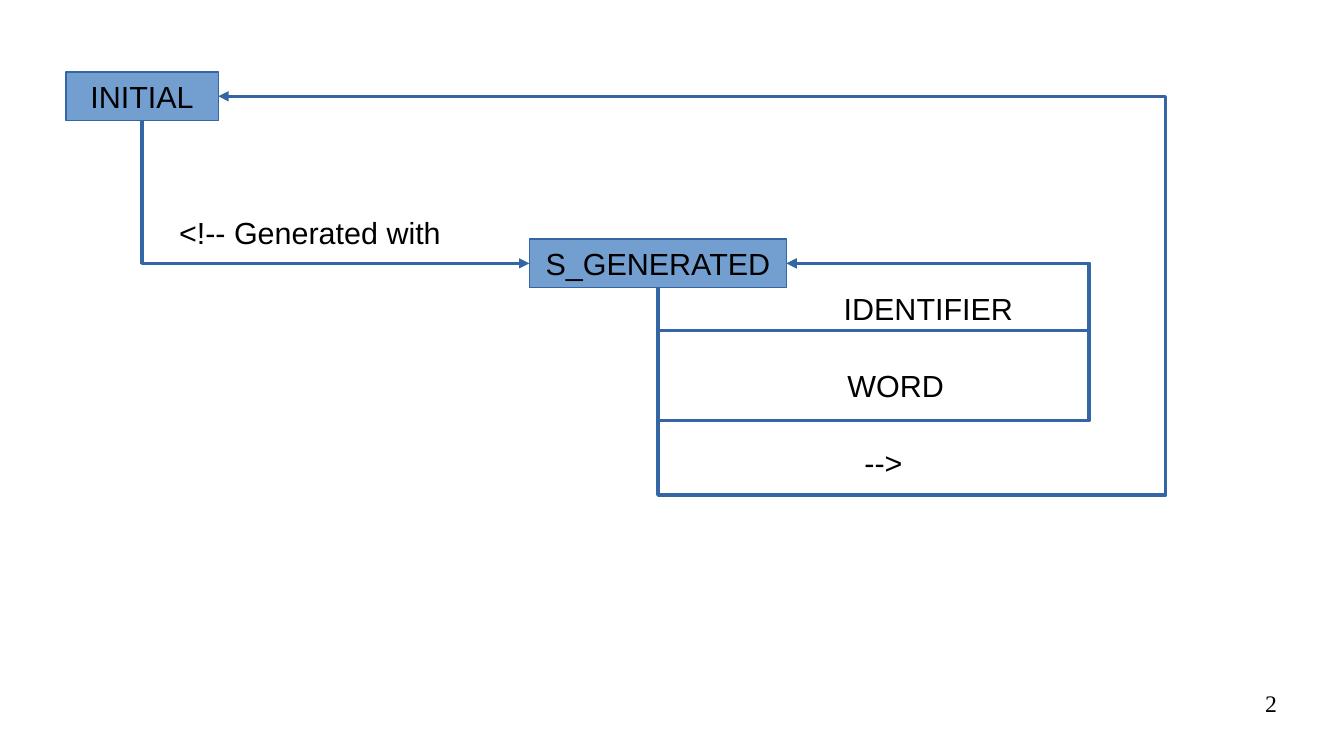
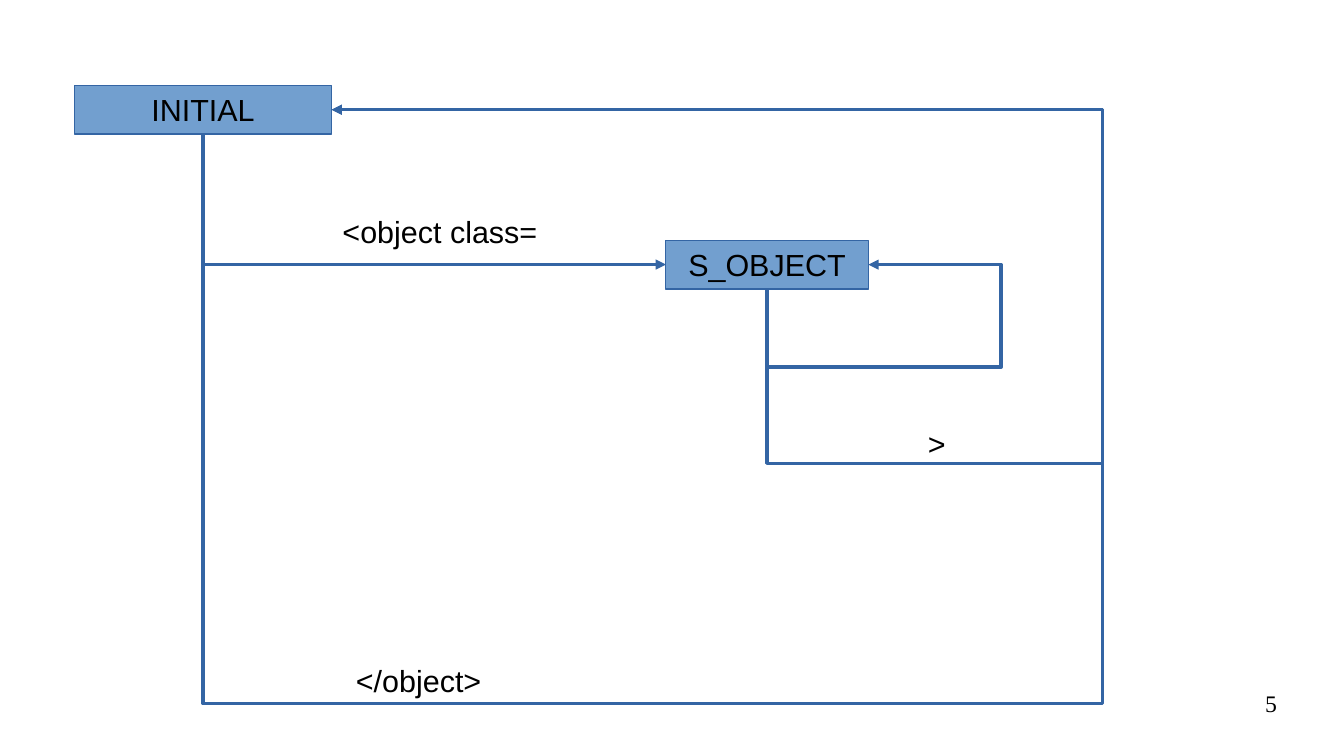
import pptx
import pptx.util
import pptx.dml.color
import pptx.enum.shapes
import pptx.enum.text
import pptx.oxml
import pptx.oxml.ns

Inches, Pt = pptx.util.Inches, pptx.util.Pt
ALIGN = pptx.enum.text.PP_ALIGN
COLORS = {"state": "729FCF", "line": "3465A4", "text": "000000"}
STATE_HEIGHT = 0.4
BOTTOM, LEFT, RIGHT = 2, 1, 3

# Each transition leaves the bottom of a state. Its detour gives the lowest y
# and the farthest x of the route; without one it makes a single bend.
DIAGRAMS = [
    {
        "number": "2",
        "states": {"INITIAL": (0.54, 0.59, 1.25), "S_GENERATED": (4.34, 1.96, 2.11)},
        "transitions": [
            ("INITIAL", "S_GENERATED", None),
            ("S_GENERATED", "INITIAL", (4.06, 9.56)),
            ("S_GENERATED", "S_GENERATED", (2.71, 8.93)),
            ("S_GENERATED", "S_GENERATED", (3.45, 8.93)),
        ],
        "labels": [
            ("<!-- Generated with", 1.37, 1.71, 2.5),
            ("IDENTIFIER", 6.82, 2.33, 1.66),
            ("WORD", 6.85, 2.96, 1.14),
            ("-->", 6.99, 3.59, 0.7),
        ],
    },
    {
        "number": "5",
        "states": {"INITIAL": (0.61, 0.7, 2.11), "S_OBJECT": (5.46, 1.97, 1.66)},
        "transitions": [
            ("INITIAL", "S_OBJECT", None),
            ("S_OBJECT", "S_OBJECT", (3.01, 8.21)),
            ("S_OBJECT", "INITIAL", (3.8, 9.04)),
            ("INITIAL", "INITIAL", (5.77, 9.04)),
        ],
        "labels": [
            ("<object class=", 2.71, 1.7, 1.88),
            (">", 7.51, 3.44, 0.51),
            ("</object>", 2.82, 5.38, 1.36),
        ],
    },
]


def rgb(name):
    return pptx.dml.color.RGBColor.from_string(COLORS[name])


def write(shape, text, align=ALIGN.LEFT, size=18, font="Arial"):
    frame = shape.text_frame
    frame.text = text
    frame.word_wrap = True
    frame.paragraphs[0].alignment = align
    run_font = frame.paragraphs[0].runs[0].font
    run_font.name, run_font.size = font, Pt(size)
    run_font.color.rgb = rgb("text")
    return frame


prs = pptx.Presentation()
prs.slide_width, prs.slide_height = Inches(11.02), Inches(6.2)

for diagram in DIAGRAMS:
    shapes = prs.slides.add_slide(prs.slide_layouts[6]).shapes

    # States
    states = {}
    for name, (left, top, width) in diagram["states"].items():
        state = shapes.add_shape(
            pptx.enum.shapes.MSO_SHAPE.RECTANGLE,
            Inches(left), Inches(top), Inches(width), Inches(STATE_HEIGHT))
        state.shadow.inherit = False
        state.fill.solid()
        state.fill.fore_color.rgb = rgb("state")
        state.line.color.rgb = rgb("line")
        state.line.width = Pt(0)
        write(state, name, ALIGN.CENTER).vertical_anchor = pptx.enum.text.MSO_ANCHOR.MIDDLE
        states[name] = state

    # Transitions
    for source, target, detour in diagram["transitions"]:
        transition = shapes.add_connector(pptx.enum.shapes.MSO_CONNECTOR.ELBOW, 0, 0, 0, 0)
        transition.begin_connect(states[source], BOTTOM)
        transition.end_connect(states[target], RIGHT if detour else LEFT)
        x0, y0 = transition.begin_x, transition.begin_y
        dx, dy = transition.end_x - x0, transition.end_y - y0

        # A quarter turn makes the route start vertically, so the sides swap
        transition.width, transition.height = abs(dy), abs(dx)
        transition.left = x0 + (dx - abs(dy)) // 2
        transition.top = y0 + (dy - abs(dx)) // 2
        properties = transition._element.spPr
        frame = properties.find(pptx.oxml.ns.qn("a:xfrm"))
        frame.set("rot", "16200000")
        frame.set("flipH", "1" if dy > 0 else "0")
        frame.set("flipV", "1" if dx < 0 else "0")

        geometry = properties.find(pptx.oxml.ns.qn("a:prstGeom"))
        geometry.set("prst", "bentConnector4" if detour else "bentConnector2")
        if detour:
            low, far = detour
            ratios = ((Inches(low) - y0) / dy, (Inches(far) - x0) / dx)
            adjustments = geometry.find(pptx.oxml.ns.qn("a:avLst"))
            for index, ratio in enumerate(ratios, 1):
                guide = pptx.oxml.parse_xml(f'<a:gd {pptx.oxml.ns.nsdecls("a")}/>')
                guide.set("name", f"adj{index}")
                guide.set("fmla", f"val {round(ratio * 100000)}")
                adjustments.append(guide)

        transition.line.color.rgb = rgb("line")
        transition.line.width = Pt(0)
        arrowhead = pptx.oxml.parse_xml(
            f'<a:tailEnd {pptx.oxml.ns.nsdecls("a")} type="triangle"/>')
        properties.find(pptx.oxml.ns.qn("a:ln")).append(arrowhead)
        properties.append(pptx.oxml.parse_xml(f'<a:effectLst {pptx.oxml.ns.nsdecls("a")}/>'))

    # Transition labels
    for text, left, top, width in diagram["labels"]:
        label = shapes.add_textbox(Inches(left), Inches(top), Inches(width), Inches(0.38))
        write(label, text)

    # Slide number
    number = shapes.add_textbox(Inches(7.9), Inches(5.65), Inches(2.57), Inches(0.43))
    margins = write(number, diagram["number"], ALIGN.RIGHT, 14, "Times New Roman")
    margins.margin_left = margins.margin_right = 0
    margins.margin_top = margins.margin_bottom = 0

prs.save("out.pptx")
